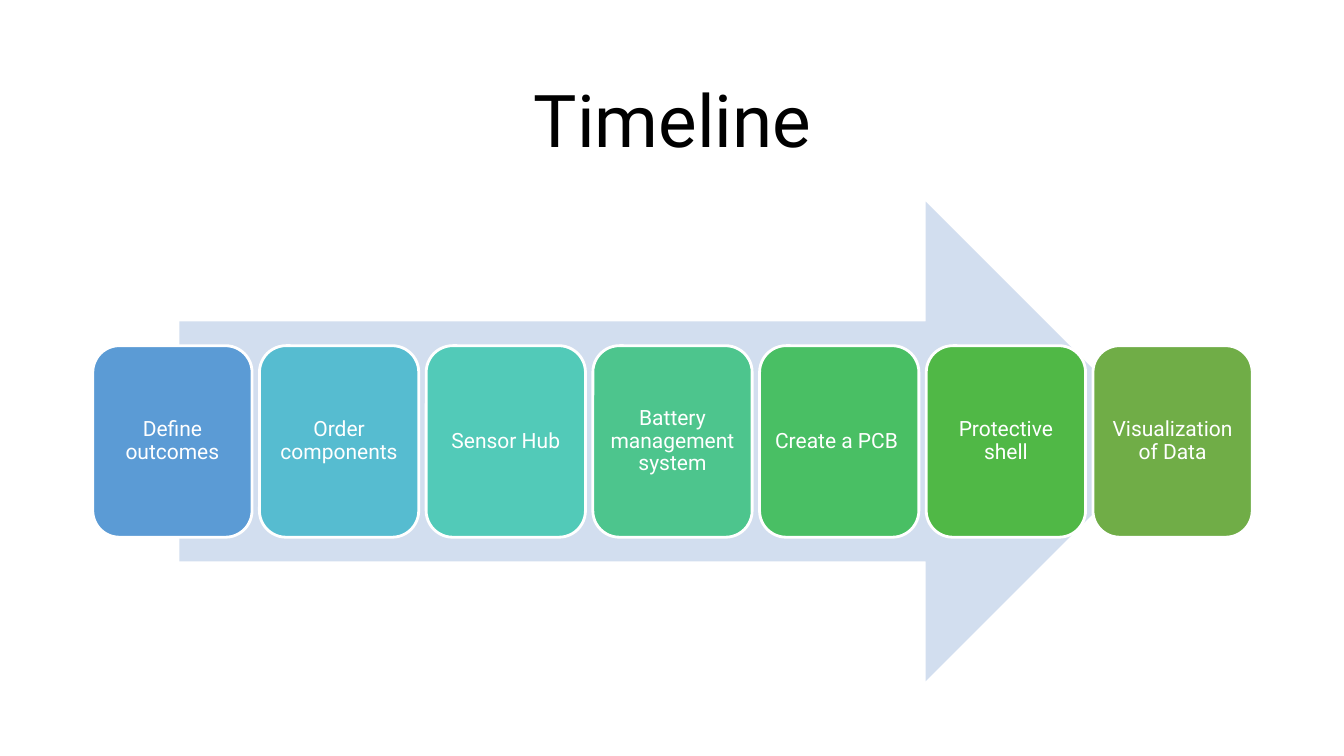
"""Build the Timeline slide: seven coloured stages along a wide arrow."""
from dataclasses import dataclass

from pptx import Presentation
from pptx import util as u
from pptx.dml.color import RGBColor
from pptx.enum import shapes, text
from pptx.shapes.autoshape import Shape
from pptx.slide import Slide
from pptx.text.text import TextFrame

BLACK = RGBColor(0x00, 0x00, 0x00)
WHITE = RGBColor(0xFF, 0xFF, 0xFF)
PALE_BLUE = RGBColor(0xD2, 0xDE, 0xEF)
BLUE = RGBColor(0x5B, 0x9B, 0xD5)
SKY = RGBColor(0x56, 0xBC, 0xD0)
TURQUOISE = RGBColor(0x52, 0xCA, 0xB8)
JADE = RGBColor(0x4D, 0xC5, 0x8D)
EMERALD = RGBColor(0x49, 0xBF, 0x64)
GREEN = RGBColor(0x50, 0xB8, 0x46)
OLIVE = RGBColor(0x70, 0xAD, 0x47)

FONT = "Roboto"
LEFT = u.Inches(0.92)
CONTENT_WIDTH = u.Inches(11.5)
STAGE_TOP = u.Inches(3.43)
STAGE_WIDTH = u.Inches(1.58)
STAGE_HEIGHT = u.Inches(1.9)
STAGE_FRAME = {
    "word_wrap": True,
    "margin_left": u.Inches(0.06),
    "margin_right": u.Inches(0.06),
    "margin_top": u.Inches(0.06),
    "margin_bottom": u.Inches(0.06),
}


@dataclass(frozen=True)
class Stage:
    label: str
    color: RGBColor


STAGES = [
    Stage("Define outcomes", BLUE),
    Stage("Order components", SKY),
    Stage("Sensor Hub", TURQUOISE),
    Stage("Battery management system", JADE),
    Stage("Create a PCB ", EMERALD),
    Stage("Protective shell", GREEN),
    Stage("Visualization of Data", OLIVE),
]


def apply(target: object, values: dict[str, object]) -> None:
    for attribute, value in values.items():
        setattr(target, attribute, value)


def write(frame: TextFrame, words: str, size: int, color: RGBColor) -> None:
    frame.text = words
    frame.vertical_anchor = text.MSO_ANCHOR.MIDDLE
    paragraph = frame.paragraphs[0]
    apply(paragraph, {"alignment": text.PP_ALIGN.CENTER, "line_spacing": 0.9})
    font = paragraph.runs[0].font
    apply(font, {"name": FONT, "size": u.Pt(size)})
    font.color.rgb = color


def add_filled(slide: Slide, preset: shapes.MSO_SHAPE, left: int, top: int,
               width: int, height: int, color: RGBColor) -> Shape:
    filled = slide.shapes.add_shape(preset, left, top, width, height)
    filled.shadow.inherit = False
    filled.fill.solid()
    filled.fill.fore_color.rgb = color
    return filled


def add_stage(slide: Slide, stage: Stage, left: int) -> None:
    card = add_filled(slide, shapes.MSO_SHAPE.ROUNDED_RECTANGLE, left, STAGE_TOP,
                      STAGE_WIDTH, STAGE_HEIGHT, stage.color)
    card.line.color.rgb = WHITE
    card.line.width = u.Pt(2)
    apply(card.text_frame, STAGE_FRAME)
    write(card.text_frame, stage.label, 15, WHITE)


def main() -> None:
    deck = Presentation()
    apply(deck, {"slide_width": u.Inches(13.33), "slide_height": u.Inches(7.5)})
    slide = deck.slides.add_slide(deck.slide_layouts[5])

    heading = slide.shapes.title
    apply(heading, {"left": LEFT, "top": u.Inches(0.61),
                    "width": CONTENT_WIDTH, "height": u.Inches(1.24)})
    write(heading.text_frame, "Timeline", 52, BLACK)

    arrow = add_filled(slide, shapes.MSO_SHAPE.RIGHT_ARROW, u.Inches(1.78), u.Inches(2),
                       u.Inches(9.78), u.Inches(4.76), PALE_BLUE)
    arrow.line.fill.background()

    pitch = (CONTENT_WIDTH - STAGE_WIDTH) / (len(STAGES) - 1)
    for position, stage in enumerate(STAGES):
        add_stage(slide, stage, round(LEFT + position * pitch))

    deck.save("out.pptx")


if __name__ == "__main__":
    main()
